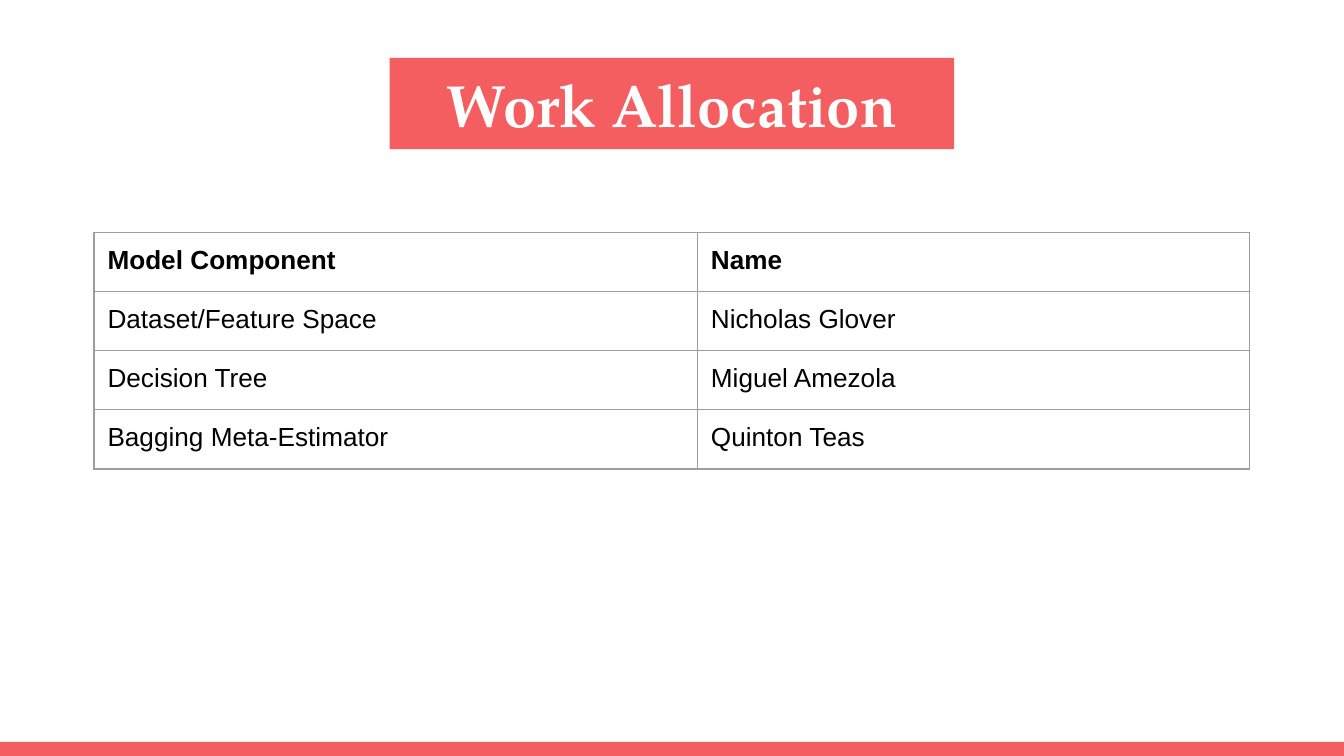
from lxml import etree
from pptx import Presentation
from pptx.dml.color import RGBColor
from pptx.enum.shapes import MSO_SHAPE
from pptx.enum.text import MSO_ANCHOR, PP_ALIGN
from pptx.oxml.ns import qn
from pptx.util import Inches, Pt

RECT = MSO_SHAPE.RECTANGLE
MIDDLE = MSO_ANCHOR.MIDDLE
LEFT, CENTER = PP_ALIGN.LEFT, PP_ALIGN.CENTER

CORAL = RGBColor(0xF5, 0x5E, 0x61)
WHITE = RGBColor(0xFF, 0xFF, 0xFF)
BLACK = RGBColor(0x00, 0x00, 0x00)
GRAY = RGBColor(0x9E, 0x9E, 0x9E)


def write(frame, text, font="Arial", size=14, color=BLACK, bold=False, align=LEFT):
    para = frame.paragraphs[0]
    para.alignment = align
    run = para.add_run()
    run.text = text
    run.font.name = font
    run.font.size = Pt(size)
    run.font.bold = bold
    run.font.color.rgb = color


def add_border(cell):
    props = cell._tc.get_or_add_tcPr()
    for i, side in enumerate(("a:lnL", "a:lnR", "a:lnT", "a:lnB")):
        line = etree.Element(qn(side), w=str(Pt(0.75)))
        fill = etree.SubElement(line, qn("a:solidFill"))
        etree.SubElement(fill, qn("a:srgbClr"), val=str(GRAY))
        props.insert(i, line)


# Widescreen page, 16:9
deck = Presentation()
deck.slide_width = Inches(10)
deck.slide_height = Inches(10 * 9 / 16)
slide = deck.slides.add_slide(deck.slide_layouts[6])

# Bottom bar and title band
bands = []
for x, y, w, h in ((0, 5.52, 10, 0.11), (2.9, 0.43, 4.2, 0.68)):
    band = slide.shapes.add_shape(RECT, Inches(x), Inches(y), Inches(w), Inches(h))
    band.shadow.inherit = False
    band.fill.solid()
    band.fill.fore_color.rgb = CORAL
    band.line.fill.background()
    bands.append(band)

# Title text
frame = bands[1].text_frame
frame.word_wrap = True
frame.vertical_anchor = MIDDLE
frame.margin_left = frame.margin_right = Inches(0.1)
frame.margin_top = frame.margin_bottom = Inches(0.1)
write(frame, "Work Allocation", font="TeX Gyre Pagella", size=32,
      color=WHITE, bold=True, align=CENTER)

# Allocation table
rows = (
    ("Model Component", "Name"),
    ("Dataset/Feature Space", "Nicholas Glover"),
    ("Decision Tree", "Miguel Amezola"),
    ("Bagging Meta-Estimator", "Quinton Teas"),
)
widths = (4.49, 4.11)
height = 0.44
table = slide.shapes.add_table(
    len(rows), len(widths), Inches(0.7), Inches(1.73),
    Inches(sum(widths)), Inches(height * len(rows))).table
table.horz_banding = False
for col, width in zip(table.columns, widths):
    col.width = Inches(width)

for r, row in enumerate(rows):
    table.rows[r].height = Inches(height)
    for c, text in enumerate(row):
        cell = table.cell(r, c)
        cell.margin_left = cell.margin_right = Inches(0.1)
        cell.margin_top = cell.margin_bottom = Inches(0.1)
        cell.fill.solid()
        cell.fill.fore_color.rgb = WHITE
        add_border(cell)
        write(cell.text_frame, text, bold=r == 0)

deck.save("out.pptx")
